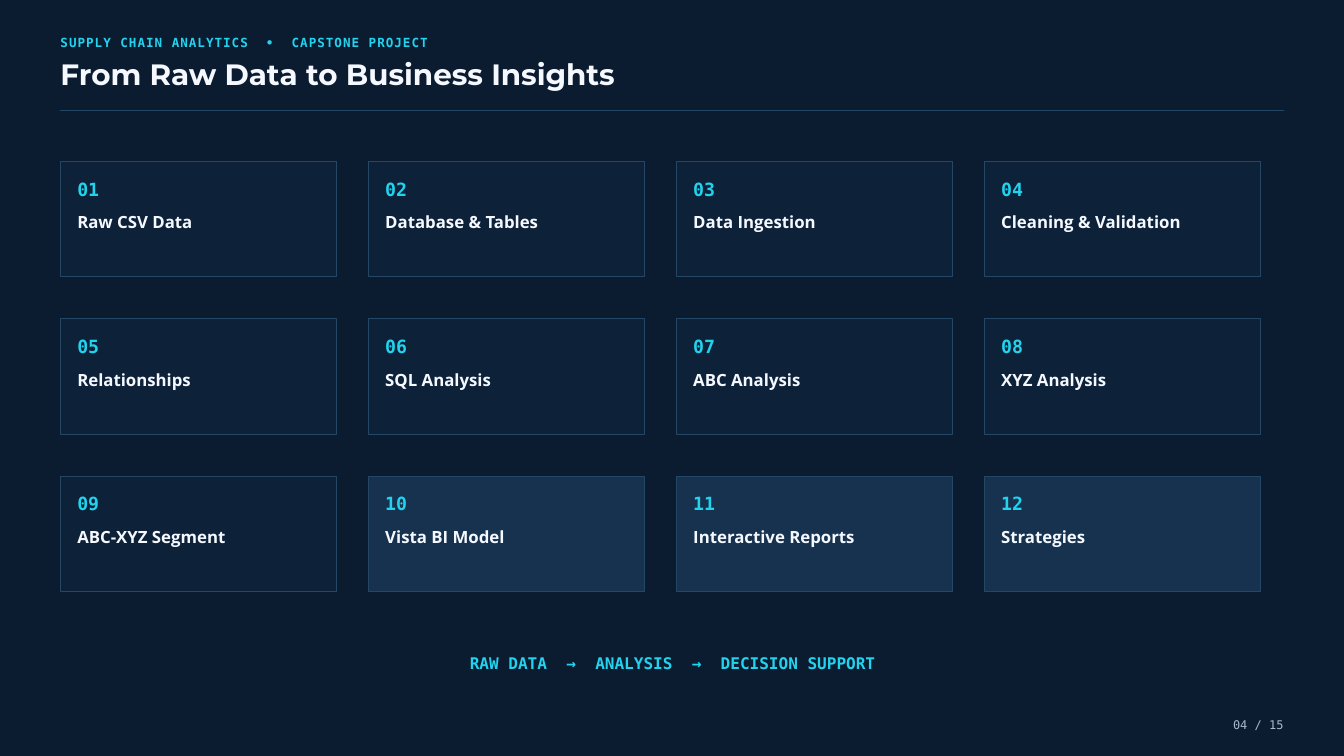
from lxml.etree import SubElement
from pptx import Presentation
from pptx.dml.color import RGBColor
from pptx.enum.shapes import MSO_CONNECTOR, MSO_SHAPE
from pptx.enum.text import MSO_ANCHOR, MSO_AUTO_SIZE, PP_ALIGN
from pptx.oxml.ns import qn
from pptx.util import Inches, Pt

MONO, HEAD, BODY = "DejaVu Sans Mono", "Montserrat", "Open Sans"
NAVY, PANEL, PANEL_LIT, BORDER = "0B1B30", "0D2139", "16324F", "244765"
CYAN, WHITE, MUTED = "22D3EE", "F5F9FF", "A9BAD0"

LEFT, RIGHT = 0.9, 19.1
COLUMNS = 4
GRID_TOP, STEP_X, STEP_Y = 2.4, 4.583, 2.342
CARD_W, CARD_H, PAD = 4.11, 1.72, 0.25
FIRST_LIT = 10
STAGES = [
    "Raw CSV Data", "Database & Tables", "Data Ingestion", "Cleaning & Validation",
    "Relationships", "SQL Analysis", "ABC Analysis", "XYZ Analysis",
    "ABC-XYZ Segment", "Vista BI Model", "Interactive Reports", "Strategies",
]


def rgb(value):
    return RGBColor.from_string(value)


def fill_text(sp, text, font, size, color, leading, bold=True, align=PP_ALIGN.LEFT):
    tf = sp.text_frame
    tf.margin_left = tf.margin_right = tf.margin_top = tf.margin_bottom = 0
    tf.word_wrap = True
    tf.auto_size = MSO_AUTO_SIZE.NONE
    tf.vertical_anchor = MSO_ANCHOR.TOP
    p = tf.paragraphs[0]
    p.text = text
    p.alignment = align
    p.line_spacing = Pt(leading)
    p.font.name = font
    p.font.size = Pt(size)
    p.font.bold = bold
    p.font.color.rgb = rgb(color)
    return p


def add_text(s, box, *args, **kwargs):
    sp = s.shapes.add_textbox(*map(Inches, box))
    return fill_text(sp, *args, **kwargs)


def add_title(s, text):
    sp = s.shapes.title
    sp.left, sp.top, sp.width, sp.height = map(Inches, (LEFT, 0.87, 15.62, 0.51))
    fill_text(sp, text, HEAD, 31.5, WHITE, 35.3)


def add_rule(s, y):
    ends = map(Inches, (LEFT, y, RIGHT, y))
    line = s.shapes.add_connector(MSO_CONNECTOR.STRAIGHT, *ends)
    line.line.color.rgb = rgb(BORDER)
    line.line.width = Pt(1)
    SubElement(line._element.spPr, qn("a:effectLst"))


def add_card(s, x, y, number, label):
    sp = s.shapes.add_shape(MSO_SHAPE.RECTANGLE, *map(Inches, (x, y, CARD_W, CARD_H)))
    sp.shadow.inherit = False
    sp.fill.solid()
    sp.fill.fore_color.rgb = rgb(PANEL_LIT if number >= FIRST_LIT else PANEL)
    sp.line.color.rgb = rgb(BORDER)
    sp.line.width = Pt(0.75)
    add_text(s, (x + PAD, y + 0.195, 0.73, 0.35), f"{number:02}", MONO, 19.5, CYAN, 27.3)
    add_text(s, (x + PAD, y + 0.705, 3.54, 0.32), label, BODY, 18, WHITE, 25.2)


def main():
    prs = Presentation()
    prs.slide_width, prs.slide_height = Inches(20), Inches(11.25)
    s = prs.slides.add_slide(prs.slide_layouts[5])
    s.background.fill.solid()
    s.background.fill.fore_color.rgb = rgb(NAVY)

    p = add_text(s, (LEFT, 0.48, 9.38, 0.25), "SUPPLY CHAIN ANALYTICS  •  CAPSTONE PROJECT",
                 MONO, 13.5, CYAN, 18.9)
    p.runs[0]._r.get_or_add_rPr().set("spc", "110")
    add_title(s, "From Raw Data to Business Insights")
    add_rule(s, 1.65)

    for i, label in enumerate(STAGES):
        row, col = divmod(i, COLUMNS)
        add_card(s, LEFT + col * STEP_X, GRID_TOP + row * STEP_Y, i + 1, label)

    add_text(s, (5.42, 9.67, 9.17, 0.33), "RAW DATA  →  ANALYSIS  →  DECISION SUPPORT",
             MONO, 17.2, CYAN, 24.1, align=PP_ALIGN.CENTER)
    add_text(s, (17.75, 10.65, 1.35, 0.23), "04 / 15",
             MONO, 12.8, MUTED, 17.8, bold=False, align=PP_ALIGN.RIGHT)
    prs.save("out.pptx")


if __name__ == "__main__":
    main()
